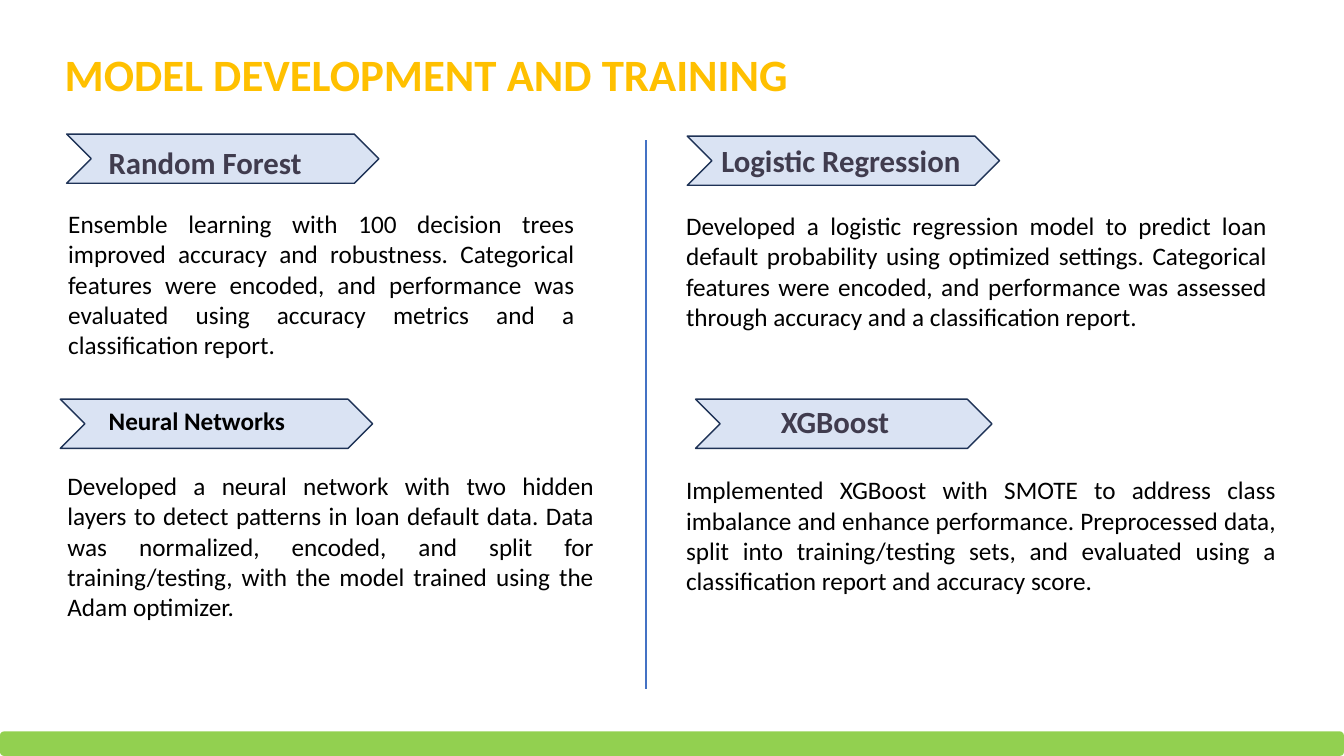
from dataclasses import dataclass

import lxml.etree
import pptx
import pptx.dml.color
import pptx.enum.shapes
import pptx.enum.text
import pptx.oxml.ns
import pptx.util
from pptx.util import Cm

FONT = "Calibri"
BLACK = "000000"
SLATE = "403C4E"
CHEVRON_HEIGHT = 1.24
HEADING_HEIGHT = 1.22
SHAPES = pptx.enum.shapes.MSO_SHAPE
ALIGN = pptx.enum.text.PP_ALIGN
ANCHOR = pptx.enum.text.MSO_ANCHOR


@dataclass
class Box:
    """A rectangle in centimetres."""
    left: float
    top: float
    width: float
    height: float

    def lengths(self) -> tuple:
        return Cm(self.left), Cm(self.top), Cm(self.width), Cm(self.height)


@dataclass
class Model:
    name: str
    description: str
    chevron: Box
    heading: Box
    body: Box
    heading_size: int = 22
    heading_color: str = SLATE
    heading_spacing: float | None = 27.5


MODELS = [
    Model(
        "Random Forest",
        "Ensemble learning with 100 decision trees improved accuracy and robustness. "
        "Categorical features were encoded, and performance was evaluated using accuracy "
        "metrics and a classification report.",
        Box(1.68, 3.38, 7.87, CHEVRON_HEIGHT),
        Box(2.49, 3.45, 5.94, HEADING_HEIGHT),
        Box(1.47, 5.13, 13.26, 4.11),
    ),
    Model(
        "Logistic Regression",
        "Developed a logistic regression model to predict loan default probability using "
        "optimized settings. Categorical features were encoded, and performance was assessed "
        "through accuracy and a classification report.",
        Box(17.32, 3.43, 7.87, CHEVRON_HEIGHT),
        Box(17.93, 3.4, 7.87, HEADING_HEIGHT),
        Box(17.04, 5.18, 15.14, 3.33),
    ),
    Model(
        "Neural Networks",
        "Developed a neural network with two hidden layers to detect patterns in loan default "
        "data. Data was normalized, encoded, and split for training/testing, with the model "
        "trained using the Adam optimizer.",
        Box(1.52, 10.06, 7.87, CHEVRON_HEIGHT),
        Box(2.49, 10.08, 7.87, HEADING_HEIGHT),
        Box(1.45, 11.73, 13.77, 4.11),
        heading_size=18,
        heading_color=BLACK,
        heading_spacing=None,
    ),
    Model(
        "XGBoost",
        "Implemented XGBoost with SMOTE to address class imbalance and enhance performance. "
        "Preprocessed data, split into training/testing sets, and evaluated using a "
        "classification report and accuracy score.",
        Box(17.53, 10.06, 7.47, CHEVRON_HEIGHT),
        Box(19.43, 9.98, 5.94, HEADING_HEIGHT),
        Box(17.04, 11.84, 15.37, 3.33),
    ),
]


def color(value: str) -> pptx.dml.color.RGBColor:
    return pptx.dml.color.RGBColor.from_string(value)


def add_filled_shape(slide, kind, box: Box, fill: str, line: str | None = None) -> None:
    shape = slide.shapes.add_shape(kind, *box.lengths())
    shape.shadow.inherit = False
    shape.fill.solid()
    shape.fill.fore_color.rgb = color(fill)
    if line is None:
        shape.line.fill.background()
    else:
        shape.line.color.rgb = color(line)
        shape.line.width = pptx.util.Pt(1)


def add_text(slide, box: Box, text: str, size: int, text_color: str, bold: bool = False,
             align=ALIGN.LEFT, anchor=ANCHOR.TOP, spacing=None) -> None:
    frame = slide.shapes.add_textbox(*box.lengths()).text_frame
    frame.word_wrap = True
    frame.vertical_anchor = anchor
    paragraph = frame.paragraphs[0]
    paragraph.text = text
    paragraph.alignment = align
    paragraph.line_spacing = spacing
    paragraph.font.name = FONT
    paragraph.font.size = pptx.util.Pt(size)
    paragraph.font.bold = bold
    paragraph.font.color.rgb = color(text_color)


def add_divider(slide, x: float, top: float, bottom: float) -> None:
    divider = slide.shapes.add_connector(
        pptx.enum.shapes.MSO_CONNECTOR.STRAIGHT, Cm(x), Cm(top), Cm(x), Cm(bottom))
    divider.line.color.rgb = color("4472C4")
    divider.line.width = pptx.util.Pt(1.5)
    lxml.etree.SubElement(divider._element.spPr, pptx.oxml.ns.qn("a:effectLst"))


def add_model(slide, model: Model) -> None:
    add_filled_shape(slide, SHAPES.CHEVRON, model.chevron, "DAE3F3", "1E3256")
    spacing = pptx.util.Pt(model.heading_spacing) if model.heading_spacing else None
    add_text(slide, model.heading, model.name, model.heading_size, model.heading_color,
             bold=True, spacing=spacing)
    add_text(slide, model.body, model.description, 18, BLACK, align=ALIGN.JUSTIFY)


def main() -> None:
    presentation = pptx.Presentation()
    presentation.slide_width = Cm(33.87)
    presentation.slide_height = Cm(19.05)
    slide = presentation.slides.add_slide(presentation.slide_layouts[6])

    add_text(slide, Box(1.38, 0.1, 28.45, 3.68), "MODEL DEVELOPMENT AND TRAINING", 32,
             "FFC000", bold=True, anchor=ANCHOR.MIDDLE, spacing=0.9)
    add_divider(slide, 16.28, 3.53, 17.37)
    add_filled_shape(slide, SHAPES.ROUNDED_RECTANGLE, Box(0, 18.43, 33.87, 0.62), "92D050")
    for model in MODELS:
        add_model(slide, model)

    presentation.save("out.pptx")


if __name__ == "__main__":
    main()
